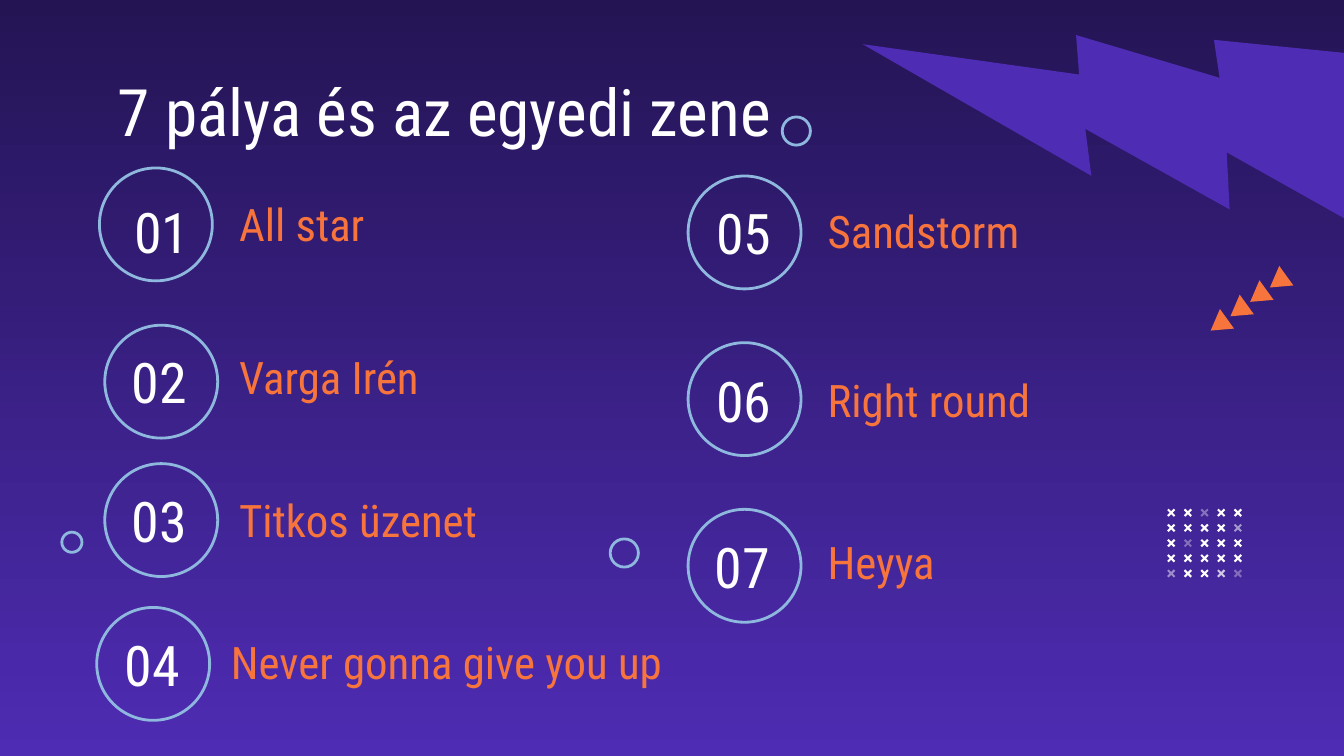
"""Build the slide listing seven levels and their music."""
from dataclasses import dataclass
from itertools import product

from lxml import etree
from pptx import Presentation
from pptx.dml.color import RGBColor
from pptx.enum.shapes import MSO_SHAPE as Shape
from pptx.enum.text import MSO_ANCHOR as Anchor, PP_ALIGN as Align
from pptx.oxml.ns import qn
from pptx.util import Inches, Pt

COLORS = {"night": "241454", "violet": "4E2CB3", "orange": "F7743C", "sky": "8EB8DE", "white": "FFFFFF"}
FONT = "Roboto Condensed"
COLS, ROWS = 100, 56.25
CELL = Inches(0.1)


@dataclass(frozen=True)
class Box:
    col: float
    row: float
    cols: float
    rows: float

    def emu(self) -> list[int]:
        return [round(v * CELL) for v in (self.col, self.row, self.cols, self.rows)]


@dataclass(frozen=True)
class Track:
    number: str
    name: str
    ring: tuple[float, float]
    digits: tuple[float, float]
    label: tuple[float, float]


TRACKS = [
    Track("01", "All star", (7.4, 12.5), (7.6, 12.4), (16.8, 14.8)),
    Track("02", "Varga Irén", (7.8, 24.2), (7.4, 23.6), (16.8, 26.2)),
    Track("03", "Titkos üzenet", (7.8, 34.5), (7.4, 33.9), (16.8, 36.8)),
    Track("04", "Never gonna give you up", (7.2, 45.2), (6.9, 44.6), (16.2, 47.4)),
    Track("05", "Sandstorm", (51.2, 13.1), (50.9, 12.5), (60.6, 15.3)),
    Track("06", "Right round", (51.2, 25.5), (50.9, 25), (60.6, 27.9)),
    Track("07", "Heyya", (51.2, 37.9), (50.8, 37.3), (60.6, 39.9)),
]
BUBBLES = [Box(4.6, 39.6, 1.5, 1.5), Box(58.2, 8.7, 2.1, 2.1), Box(45.4, 40.1, 2.1, 2.1)]
FADED = {(0, 2): 36, (1, 4): 53, (2, 1): 34, (4, 0): 48, (4, 3): 75, (4, 4): 33}


def rgb(name: str) -> RGBColor:
    return RGBColor.from_string(COLORS[name])


def add_solid(shapes, kind: Shape, box: Box, color: str, angle: float, alpha: int = 100):
    sp = shapes.add_shape(kind, *box.emu())
    sp.shadow.inherit = False
    sp.rotation = angle
    sp.fill.solid()
    sp.fill.fore_color.rgb = rgb(color)
    sp.line.fill.background()
    if alpha < 100:
        tint = sp._element.spPr.find(qn("a:solidFill"))[0]
        etree.SubElement(tint, qn("a:alpha")).set("val", str(alpha * 1000))
    return sp


def add_ring(shapes, box: Box) -> None:
    sp = shapes.add_shape(Shape.OVAL, *box.emu())
    sp.shadow.inherit = False
    sp.fill.background()
    sp.line.color.rgb = rgb("sky")
    sp.line.width = Pt(1.5)


def add_text(shapes, text: str, box: Box, size: int, color: str,
             align: Align = Align.LEFT, anchor: Anchor = Anchor.MIDDLE) -> None:
    tf = shapes.add_textbox(*box.emu()).text_frame
    tf.word_wrap = True
    tf.vertical_anchor = anchor
    tf.margin_left = tf.margin_right = tf.margin_top = tf.margin_bottom = CELL
    tf.text = text
    p = tf.paragraphs[0]
    p.alignment = align
    font = p.runs[0].font
    font.name, font.size, font.color.rgb = FONT, Pt(size), rgb(color)


def add_track(shapes, track: Track) -> None:
    add_ring(shapes, Box(*track.ring, 8.4, 8.4))
    add_text(shapes, track.number, Box(*track.digits, 8.9, 9.6), 30, "white", Align.CENTER)
    add_text(shapes, track.name, Box(*track.label, 34.1, 3.7), 24, "orange")


def add_crosses(shapes) -> None:
    group = shapes.add_group_shape().shapes
    for row, col in product(range(5), repeat=2):
        box = Box(86.8 + 1.24 * col, 37.8 + 1.13 * row, 0.7, 0.7)
        sp = add_solid(group, Shape.CROSS, box, "white", 315, FADED.get((row, col), 100))
        sp.adjustments[0] = 0.39


def add_triangles(shapes) -> None:
    group = shapes.add_group_shape().shapes
    for i in range(4):
        box = Box(94.2 - 1.47 * i, 20.2 + 1.07 * i, 1.8, 1.5)
        add_solid(group, Shape.ISOSCELES_TRIANGLE, box, "orange", 234.2)


def main() -> None:
    prs = Presentation()
    prs.slide_width, prs.slide_height = COLS * CELL, round(ROWS * CELL)
    s = prs.slides.add_slide(prs.slide_layouts[6])
    fill = s.background.fill
    fill.gradient()
    fill.gradient_angle = 270
    for stop, color in zip(fill.gradient_stops, ("night", "violet")):
        stop.color.rgb = rgb(color)

    bolt = add_solid(s.shapes, Shape.LIGHTNING_BOLT, Box(70, -6.8, 31.7, 31.7), "violet", 59.9)
    bolt._element.spPr.find(qn("a:xfrm")).set("flipH", "1")
    add_text(s.shapes, "7 pálya és az egyedi zene", Box(7.8, 4.3, 84.3, 6.4), 35, "white", anchor=Anchor.TOP)
    for track in TRACKS:
        add_track(s.shapes, track)
    add_crosses(s.shapes)
    for bubble in BUBBLES:
        add_ring(s.shapes, bubble)
    add_triangles(s.shapes)
    prs.save("out.pptx")


if __name__ == "__main__":
    main()
